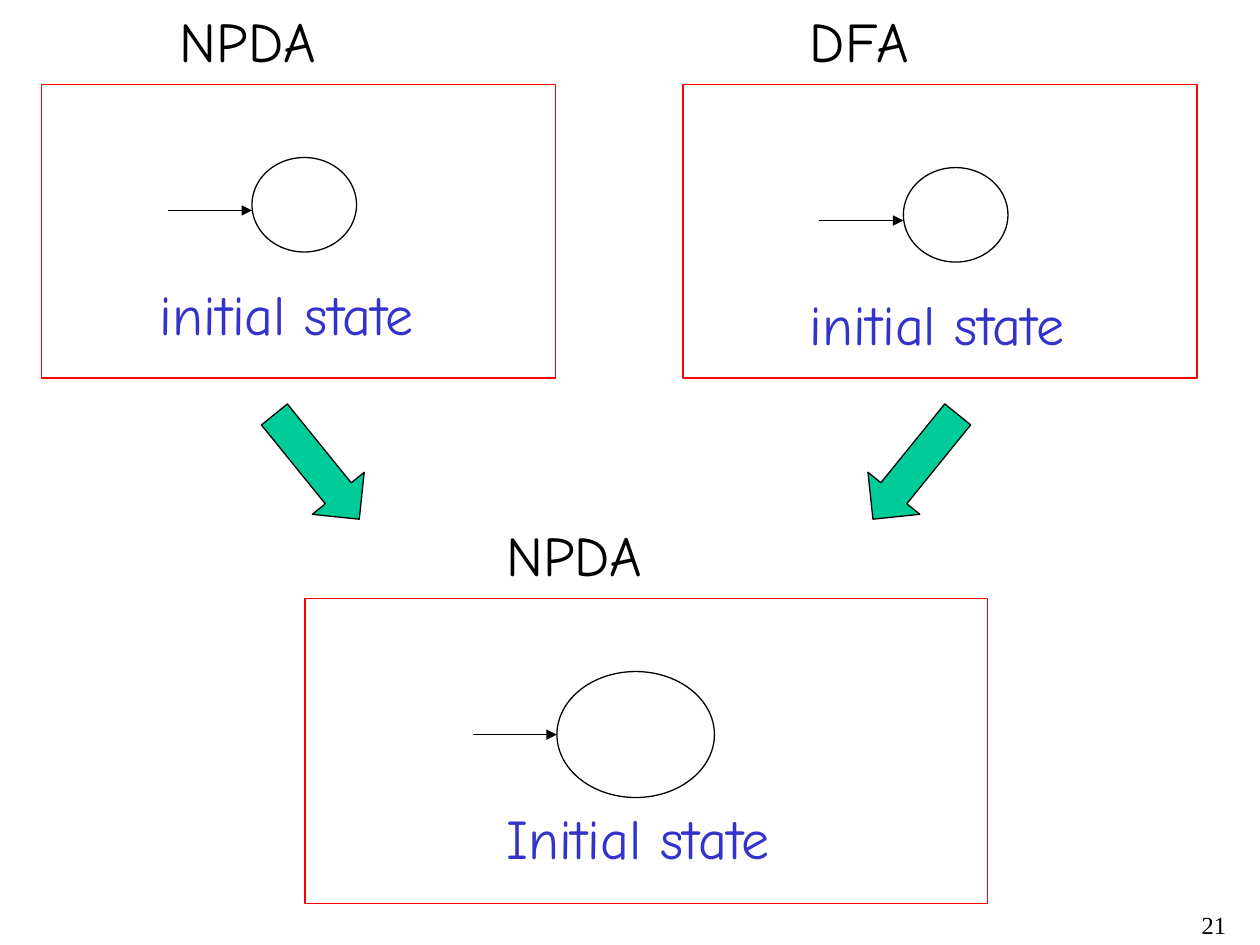
from dataclasses import dataclass

from lxml import etree
from pptx import Presentation
from pptx import util as u
from pptx.dml.color import RGBColor
from pptx.enum import shapes, text
from pptx.oxml.ns import qn


@dataclass(frozen=True)
class Theme:
    ink: str = "000000"
    frame: str = "FF0000"
    note: str = "3333CC"
    arrow: str = "00CC99"
    font: str = "Comic Neue"
    serif: str = "Times New Roman"
    label: int = 32
    page: int = 14
    line: float = 0.75


THEME = Theme()
SHAPE = shapes.MSO_SHAPE
ENTRY = 0.67


def add_shape(slide, kind, box, line, fill=None):
    shape = slide.shapes.add_shape(kind, *map(u.Inches, box))
    shape.shadow.inherit = False
    if fill:
        shape.fill.solid()
        shape.fill.fore_color.rgb = RGBColor.from_string(fill)
    else:
        shape.fill.background()
    shape.line.color.rgb = RGBColor.from_string(line)
    shape.line.width = u.Pt(THEME.line)
    return shape


def add_text(slide, words, box, color, font=THEME.font, size=THEME.label):
    label = slide.shapes.add_textbox(*map(u.Inches, box))
    label.text_frame.text = words
    para = label.text_frame.paragraphs[0]
    style = para.runs[0].font
    style.name = font
    style.size = u.Pt(size)
    style.color.rgb = RGBColor.from_string(color)
    return para


def add_entry(slide, right, y):
    ends = map(u.Inches, (right - ENTRY, y, right, y))
    line = slide.shapes.add_connector(shapes.MSO_CONNECTOR.STRAIGHT, *ends)
    line.line.color.rgb = RGBColor.from_string(THEME.ink)
    line.line.width = u.Pt(THEME.line)
    etree.SubElement(line.line._get_or_add_ln(), qn("a:tailEnd"), type="triangle")
    etree.SubElement(line._element.spPr, qn("a:effectLst"))


def add_machine(slide, name, head, frame, state, entry, note, foot):
    add_shape(slide, SHAPE.RECTANGLE, frame, THEME.frame)
    add_shape(slide, SHAPE.OVAL, state, THEME.ink)
    add_entry(slide, state[0], entry)
    add_text(slide, name, head, THEME.ink)
    add_text(slide, note, foot, THEME.note)


def add_arrow(slide, left, angle):
    box = (left, 3.17, 0.53, 1.07)
    arrow = add_shape(slide, SHAPE.DOWN_ARROW, box, THEME.ink, THEME.arrow)
    arrow.rotation = angle


def main():
    deck = Presentation()
    deck.slide_width = u.Inches(10)
    deck.slide_height = u.Inches(7.5)
    slide = deck.slides.add_slide(deck.slide_layouts[6])

    add_machine(slide, "NPDA", (1.33, 0, 1.43, 0.63), (0.33, 0.67, 4.08, 2.33),
                (2, 1.25, 0.83, 0.75), 1.67,
                "initial state", (1.17, 2.17, 2.61, 0.63))
    add_machine(slide, "DFA", (6.33, 0, 1.12, 0.63), (5.42, 0.67, 4.08, 2.33),
                (7.17, 1.33, 0.83, 0.75), 1.75,
                "initial state", (6.33, 2.25, 2.61, 0.63))
    add_machine(slide, "NPDA", (3.92, 4.08, 1.43, 0.63), (2.42, 4.75, 5.42, 2.42),
                (4.42, 5.33, 1.25, 1), 5.83,
                "Initial state", (3.92, 6.33, 2.73, 0.63))

    for left, angle in ((2.25, 321), (7, 39)):
        add_arrow(slide, left, angle)

    page = add_text(slide, "21", (7.75, 7.17, 2.08, 0.33), THEME.ink,
                    THEME.serif, THEME.page)
    page.alignment = text.PP_ALIGN.RIGHT
    deck.save("out.pptx")


if __name__ == "__main__":
    main()
